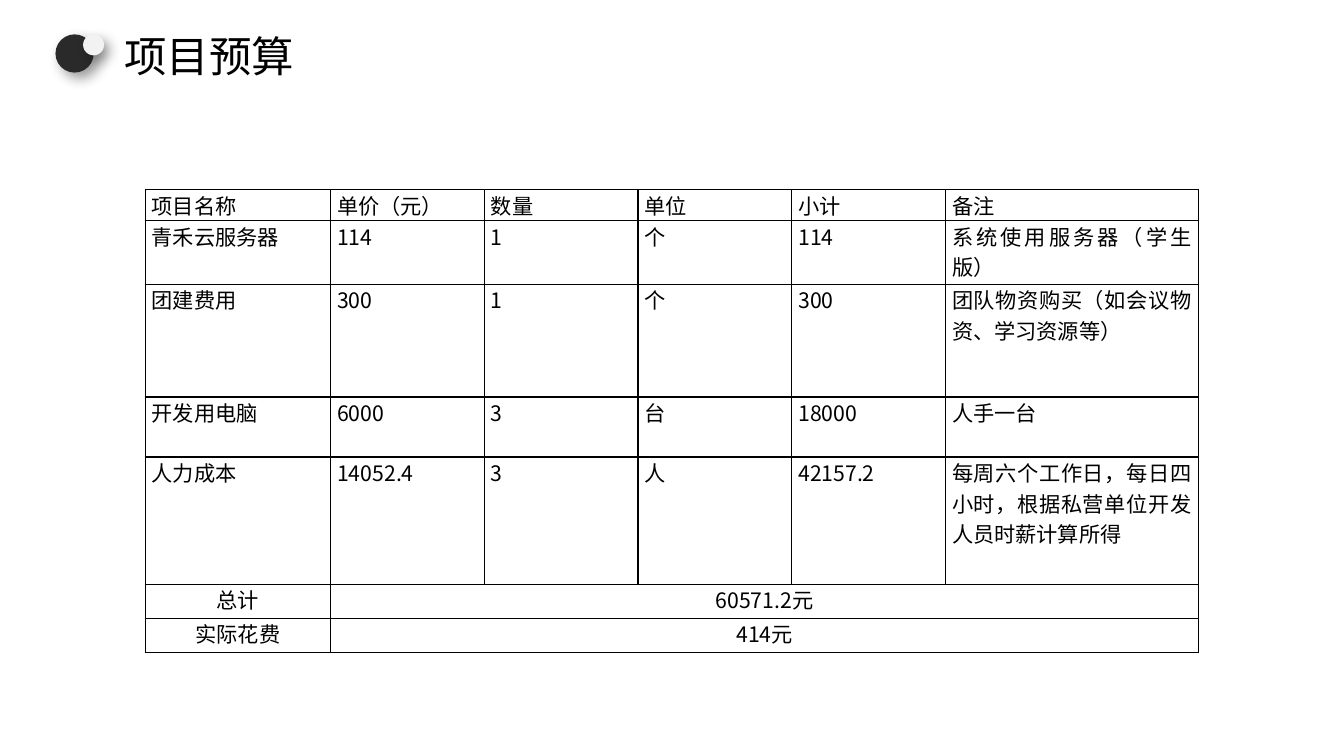
"""Builds the project budget slide: a title with a two-dot marker and a cost table."""
from lxml import etree
from pptx import Presentation
from pptx import util as u
from pptx.dml.color import RGBColor
from pptx.enum import shapes, text
from pptx.oxml import ns

BLACK = RGBColor(0x00, 0x00, 0x00)
CHARCOAL = RGBColor(0x2A, 0x2A, 0x2A)
PALE_GREY = RGBColor(0xF2, 0xF2, 0xF2)


def add_xml(parent, tag, **attributes):
    return etree.SubElement(parent, ns.qn(tag), attributes)


def add_run(paragraph, words, size, font_name):
    run = paragraph.add_run()
    run.text = words
    run.font.size = u.Pt(size)
    run.font.name = font_name
    run.font.color.rgb = BLACK
    add_xml(run.font._element, "a:ea", typeface=font_name)


deck = Presentation()
deck.slide_width = u.Pt(1012.5)
deck.slide_height = u.Pt(569.5)
slide = deck.slides.add_slide(deck.slide_layouts[6])

budget_rows = [
    ["项目名称", "单价（元）", "数量", "单位", "小计", "备注"],
    ["青禾云服务器", "114", "1", "个", "114", "系统使用服务器（学生版）"],
    ["团建费用", "300", "1", "个", "300", "团队物资购买（如会议物资、学习资源等）"],
    ["开发用电脑", "6000", "3", "台", "18000", "人手一台"],
    ["人力成本", "14052.4", "3", "人", "42157.2",
     "每周六个工作日，每日四小时，根据私营单位开发人员时薪计算所得"],
    ["总计", "60571.2元"],
    ["实际花费", "414元"],
]
column_widths = [139.7] + [115.8] * 4 + [190.6]
row_heights = [20.4, 48, 85, 45.2, 95.8, 25.6, 25.6]

budget = slide.shapes.add_table(
    len(row_heights), len(column_widths), u.Pt(109.4), u.Pt(143),
    u.Pt(sum(column_widths)), u.Pt(sum(row_heights))).table
budget.first_row = False
budget.horz_banding = False
for column, width in zip(budget.columns, column_widths):
    column.width = u.Pt(width)

for row_index, (height, entries) in enumerate(zip(row_heights, budget_rows)):
    budget.rows[row_index].height = u.Pt(height)
    is_total = len(entries) == 2
    if is_total:
        budget.cell(row_index, 1).merge(budget.cell(row_index, len(column_widths) - 1))

    for cell in budget.rows[row_index].cells:
        cell.margin_left = cell.margin_right = u.Pt(5)
        cell.margin_top = cell.margin_bottom = 0
        cell_properties = cell._tc.get_or_add_tcPr()
        for side in ("a:lnL", "a:lnR", "a:lnT", "a:lnB"):
            border = add_xml(cell_properties, side, w=str(u.Pt(1)))
            add_xml(add_xml(border, "a:solidFill"), "a:srgbClr", val=str(BLACK))
        cell.fill.background()

    for column_index, words in enumerate(entries):
        paragraph = budget.cell(row_index, column_index).text_frame.paragraphs[0]
        paragraph.alignment = text.PP_ALIGN.CENTER if is_total else text.PP_ALIGN.JUSTIFY
        add_run(paragraph, words, 16, "Noto Sans CJK SC")

for left, diameter, colour in ((41.8, 28.8, CHARCOAL), (62.6, 15.8, PALE_GREY)):
    dot = slide.shapes.add_shape(
        shapes.MSO_SHAPE.OVAL, u.Pt(left), u.Pt(25.9), u.Pt(diameter), u.Pt(diameter))
    dot.fill.solid()
    dot.fill.fore_color.rgb = colour
    dot.line.fill.background()
    dot.shadow.inherit = False
    effects = dot._element.spPr.find(ns.qn("a:effectLst"))
    shadow = add_xml(effects, "a:outerShdw", blurRad=str(u.Pt(10)), dist=str(u.Pt(6)),
                     dir="2700000", algn="tl", rotWithShape="0")
    shadow_colour = add_xml(shadow, "a:srgbClr", val=str(BLACK))
    add_xml(shadow_colour, "a:alpha", val="40000")

title = slide.shapes.add_textbox(u.Pt(86.4), u.Pt(19.4), u.Pt(352), u.Pt(28.8)).text_frame
title.word_wrap = True
heading = title.paragraphs[0]
heading.space_before = u.Pt(6.4)
heading.space_after = u.Pt(6)
add_run(heading, "项目预算", 32, "Arial")

deck.save("out.pptx")
